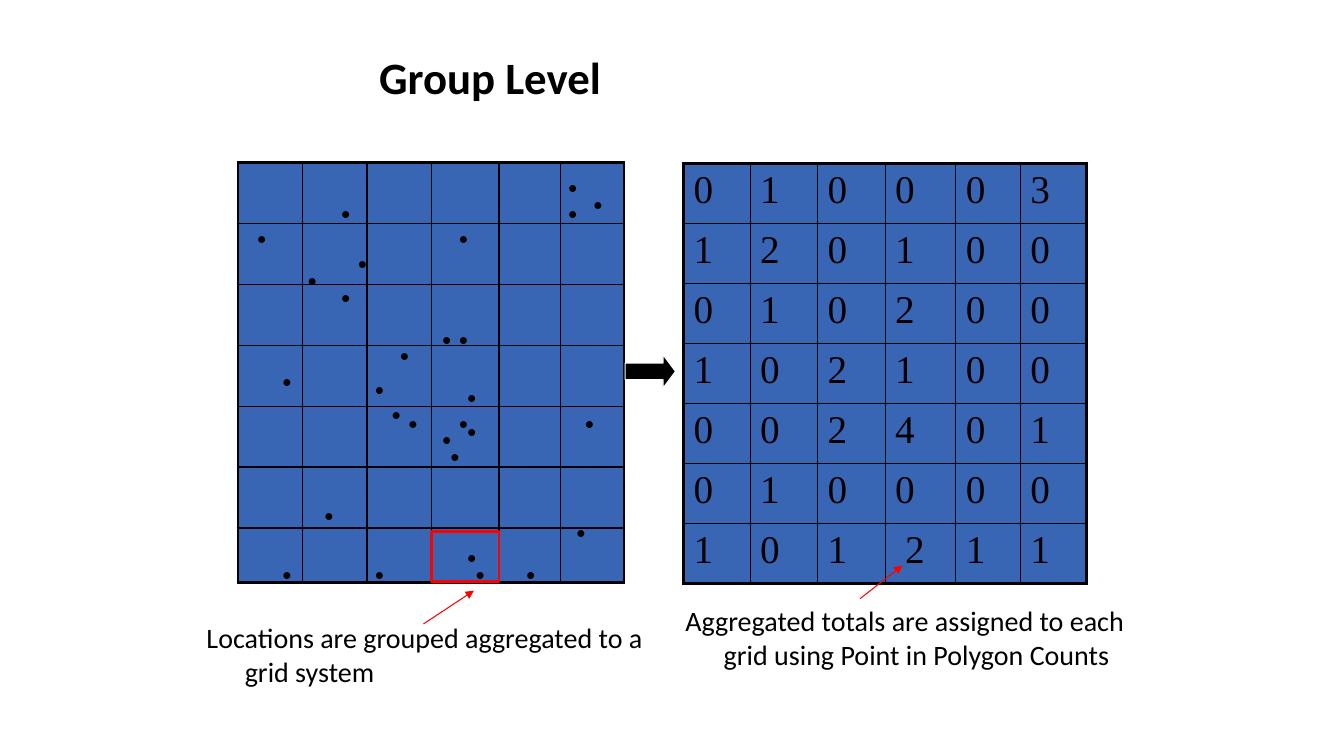
import pptx
import pptx.util
import pptx.dml.color
import pptx.enum.shapes
import pptx.enum.text
import pptx.oxml
import pptx.oxml.ns

Inches = pptx.util.Inches
Pt = pptx.util.Pt
SHAPE = pptx.enum.shapes.MSO_SHAPE
FIT = pptx.enum.text.MSO_AUTO_SIZE
ANCHOR = pptx.enum.text.MSO_ANCHOR
ALIGN = pptx.enum.text.PP_ALIGN

BLUE, BLACK, WHITE, RED = "3965B5", "000000", "FFFFFF", "FF0000"
STEP = 1 / 12
DOTS = [
    (0, 6), (10, 3), (10, 13), (6, 11), (12, 9), (3, 23), (16, 27),
    (25, 25), (23, 32), (24, 28), (3, 46), (37, 3), (37, 0), (40, 2),
    (22, 18), (24, 18), (24, 6), (32, 46), (38, 41), (14, 46), (17, 20),
    (39, 28), (8, 39), (18, 28), (14, 24), (25, 29), (22, 30), (26, 46),
    (25, 44),
]
COUNTS = [
    ["0", "1", "0", "0", "0", "3"],
    ["1", "2", "0", "1", "0", "0"],
    ["0", "1", "0", "2", "0", "0"],
    ["1", "0", "2", "1", "0", "0"],
    ["0", "0", "2", "4", "0", "1"],
    ["0", "1", "0", "0", "0", "0"],
    ["1", "0", "1", " 2", "1", "1"],
]
BLANK = [[""] * 6 for _ in range(7)]


def color(code):
    return pptx.dml.color.RGBColor.from_string(code)


def place(box):
    return [Inches(v) for v in box]


def write(para, text, size, face="Calibri", bold=False):
    run = para.add_run()
    run.text = text
    font = run.font
    font.size, font.name, font.bold = Pt(size), face, bold
    font.color.rgb = color(BLACK)


def panel(slide, box, kind, fill, line, width):
    shape = slide.shapes.add_shape(kind, *place(box))
    shape.shadow.inherit = False
    if fill:
        shape.fill.solid()
        shape.fill.fore_color.rgb = color(fill)
    else:
        shape.fill.background()
    shape.line.color.rgb = color(line)
    shape.line.width = Pt(width)
    return shape


def label(slide, box, text, size, hang=0):
    frame = slide.shapes.add_textbox(*place(box)).text_frame
    frame.word_wrap = True
    frame.auto_size = FIT.SHAPE_TO_FIT_TEXT
    para = frame.paragraphs[0]
    if hang:
        props = para._p.get_or_add_pPr()
        props.set("marL", str(Inches(hang)))
        props.set("indent", str(-Inches(hang)))
    write(para, text, size)


def edge(cell, thick):
    props = cell._tc.get_or_add_tcPr()
    for side in "LRTB":
        width = Pt(2.25 if side in thick else 1)
        props.append(pptx.oxml.parse_xml(
            f'<a:ln{side} {pptx.oxml.ns.nsdecls("a")} w="{width}">'
            f'<a:solidFill><a:srgbClr val="{BLACK}"/></a:solidFill></a:ln{side}>'))


def grid(slide, box, cols, rows, data):
    table = slide.shapes.add_table(len(rows), len(cols), *place(box)).table
    table.first_row = table.horz_banding = False
    for col, width in zip(table.columns, cols):
        col.width = Inches(width)
    for row, height in zip(table.rows, rows):
        row.height = Inches(height)
    for r, line in enumerate(data):
        for c, text in enumerate(line):
            cell = table.cell(r, c)
            ends = {"T": r == 0, "B": r == len(rows) - 1,
                    "L": c == 0, "R": c == len(cols) - 1}
            edge(cell, [side for side in ends if ends[side]])
            cell.fill.background()
            if text:
                write(cell.text_frame.paragraphs[0], text, 28, "Times New Roman")


def arrow(slide, x, y, dx, dy):
    kind = pptx.enum.shapes.MSO_CONNECTOR.STRAIGHT
    line = slide.shapes.add_connector(kind, *place((x, y, x + dx, y + dy)))
    line.line.color.rgb = color(RED)
    line.line.width = Pt(0.75)
    space = pptx.oxml.ns.nsdecls("a")
    line.line._get_or_add_ln().append(
        pptx.oxml.parse_xml(f'<a:tailEnd {space} type="triangle"/>'))
    line._element.spPr.append(pptx.oxml.parse_xml(f"<a:effectLst {space}/>"))


def points(slide, box):
    x, y, w, h = box
    panel(slide, (x, y, w, 4.17), SHAPE.RECTANGLE, BLUE, BLUE, 1)
    cols = [0.64, 0.64, 0.64, 0.67, 0.61, 0.63]
    grid(slide, box, cols, [0.605] * 6 + [h - 0.605 * 6], BLANK)
    for col, row in DOTS:
        spot = (x + 0.09 + col * STEP, y + 0.08 + row * STEP, 0.33, 0.33)
        label(slide, spot, "•", 14)
    panel(slide, (x + 1.92, y + 3.66, 0.67, 0.5), SHAPE.RECTANGLE, None, RED, 2)
    arrow(slide, x + 1.84, y + 4.58, 0.5, -0.33)
    label(slide, (x - 0.41, y + 4.5, 4.67, 1.23),
          "Locations are grouped aggregated to a grid system", 20, 0.38)


def totals(slide, box):
    x, y, w, h = box
    panel(slide, box, SHAPE.RECTANGLE, BLUE, BLUE, 1)
    cols = [0.66, 0.67, 0.67, 0.7, 0.64, 0.66]
    grid(slide, (x, y + 0.01, w, h), cols, [h / 7] * 7, COUNTS)
    arrow(slide, x + 1.75, y + 4.33, 0.42, -0.33)
    label(slide, (x - 0.08, y + 4.33, 4.84, 1.23),
          "Aggregated totals are assigned to each grid using Point in Polygon Counts",
          20, 0.38)


def heading(slide, box):
    title = slide.shapes.title
    title.left, title.top, title.width, title.height = place(box)
    frame = title.text_frame
    frame.word_wrap = True
    frame.auto_size = FIT.NONE
    frame.vertical_anchor = ANCHOR.MIDDLE
    para = frame.paragraphs[0]
    para.alignment = ALIGN.LEFT
    write(para, "Group Level", 32, bold=True)


def main():
    deck = pptx.Presentation()
    deck.slide_width, deck.slide_height = Inches(13.33), Inches(7.5)
    slide = deck.slides.add_slide(deck.slide_layouts[5])
    heading(slide, (3.66, 0.38, 7.26, 0.75))
    points(slide, (2.36, 1.61, 3.83, 4.17))
    totals(slide, (6.78, 1.61, 4, 4.17))
    block = panel(slide, (6.2, 3.52, 0.5, 0.33), SHAPE.RIGHT_ARROW, BLACK, WHITE, 0.75)
    block.adjustments[1] = 0.375
    deck.save("out.pptx")


if __name__ == "__main__":
    main()
